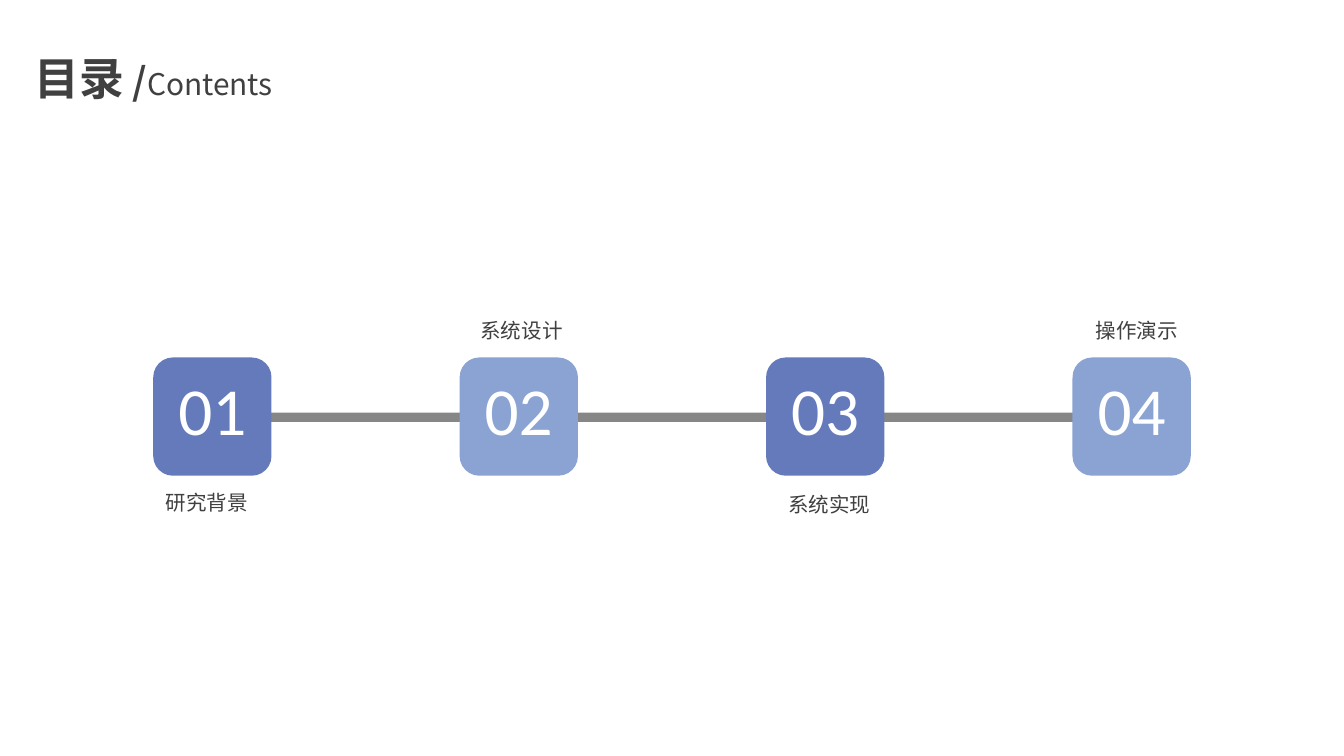
import pptx
import pptx.util
import pptx.dml.color
import pptx.enum.shapes
import pptx.enum.text
import pptx.oxml
import pptx.oxml.ns
from lxml import etree

Inches = pptx.util.Inches
Pt = pptx.util.Pt
Shape = pptx.enum.shapes.MSO_SHAPE
Anchor = pptx.enum.text.MSO_ANCHOR
Size = pptx.enum.text.MSO_AUTO_SIZE
CENTER = pptx.enum.text.PP_ALIGN.CENTER

COLORS = {"dark": "647ABA", "light": "8AA3D2", "bar": "808080",
          "text": "404040", "white": "FFFFFF"}
CJK = "Noto Sans CJK SC"
LEFT, TOP, SIDE, STEP = 1.14, 2.66, 0.88, 2.28
# label, left and top of the label
STEPS = [("研究背景", 1.13, 3.6), ("系统设计", 3.47, 2.32),
         ("系统实现", 5.76, 3.61), ("操作演示", 8.05, 2.32)]


def rgb(name):
    return pptx.dml.color.RGBColor.from_string(COLORS[name])


def add_run(para, text, size, color="text", font=CJK, bold=False):
    run = para.add_run()
    run.text = text
    run.font.size = Pt(size)
    run.font.name = font
    run.font.bold = bold
    run.font.color.rgb = rgb(color)
    # East Asian characters take their font from a:ea
    props = run.font._element
    etree.SubElement(props, pptx.oxml.ns.qn("a:ea")).set("typeface", font)


def add_block(slide, kind, box, color):
    block = slide.shapes.add_shape(kind, *map(Inches, box))
    block.shadow.inherit = False
    block.fill.solid()
    block.fill.fore_color.rgb = rgb(color)
    block.line.fill.background()
    return block


def add_bar(slide):
    bar = add_block(slide, Shape.RECTANGLE, (1.57, 3.07, 6.85, 0.07), "bar")
    color = bar.fill._xPr.find(".//" + pptx.oxml.ns.qn("a:srgbClr"))
    etree.SubElement(color, pptx.oxml.ns.qn("a:alpha")).set("val", "95000")


def add_tile(slide, index):
    color = "light" if index % 2 else "dark"
    box = (LEFT + index * STEP, TOP, SIDE, SIDE)
    frame = add_block(slide, Shape.ROUNDED_RECTANGLE, box, color).text_frame
    frame.margin_left = frame.margin_right = Inches(0.07)
    # The deeper bottom margin lifts the number above the middle
    frame.margin_top, frame.margin_bottom = Inches(0.04), Inches(0.16)
    frame.vertical_anchor = Anchor.MIDDLE
    para = frame.paragraphs[0]
    para.alignment = CENTER
    add_run(para, f"{index + 1:02}", 36, "white", "Calibri")


def add_label(slide, text, left, top):
    box = slide.shapes.add_textbox(*map(Inches, (left, top, 0.82, 0.29)))
    frame = box.text_frame
    frame.word_wrap = False
    frame.auto_size = Size.SHAPE_TO_FIT_TEXT
    para = frame.paragraphs[0]
    para.alignment = CENTER
    add_run(para, text, 11)


def set_title(slide):
    title = slide.shapes.title
    title.left, title.top = Inches(-0.12), Inches(0.25)
    title.width, title.height = Inches(2.53), Inches(0.54)
    frame = title.text_frame
    frame.word_wrap = True
    frame.auto_size = Size.SHAPE_TO_FIT_TEXT
    frame.vertical_anchor = Anchor.TOP
    para = frame.paragraphs[0]
    para.alignment = CENTER
    para.line_spacing = 1.2
    para.space_before = Pt(0)
    add_run(para, "目录", 24, bold=True)
    add_run(para, " /", 20, bold=True)
    add_run(para, "Contents", 16)


def main():
    deck = pptx.Presentation()
    deck.slide_width = Inches(10)
    deck.slide_height = Inches(10 * 9 / 16)
    slide = deck.slides.add_slide(deck.slide_layouts[5])
    set_title(slide)
    add_bar(slide)
    for index in range(len(STEPS)):
        add_tile(slide, index)
    for text, left, top in STEPS:
        add_label(slide, text, left, top)
    deck.save("out.pptx")


if __name__ == "__main__":
    main()
